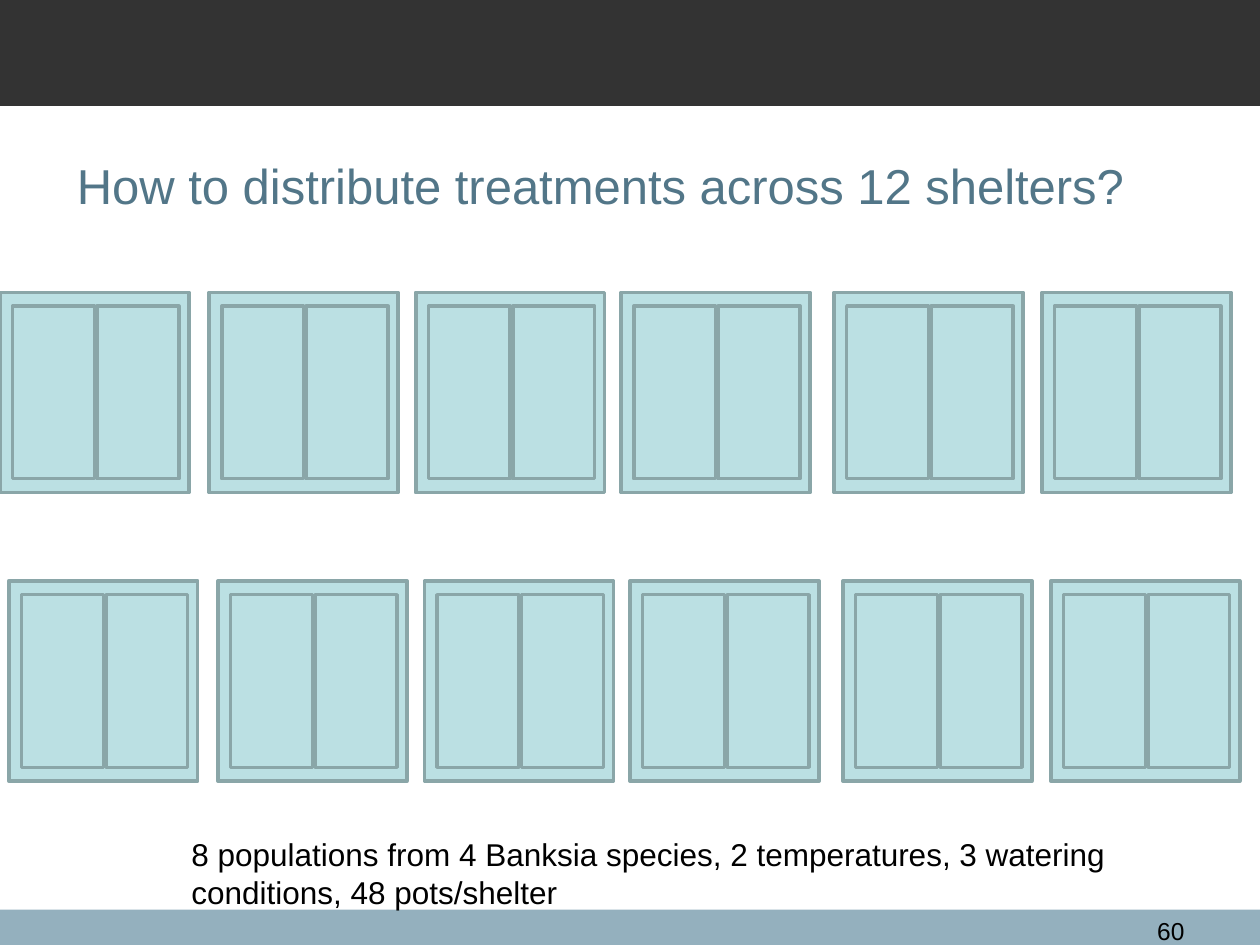
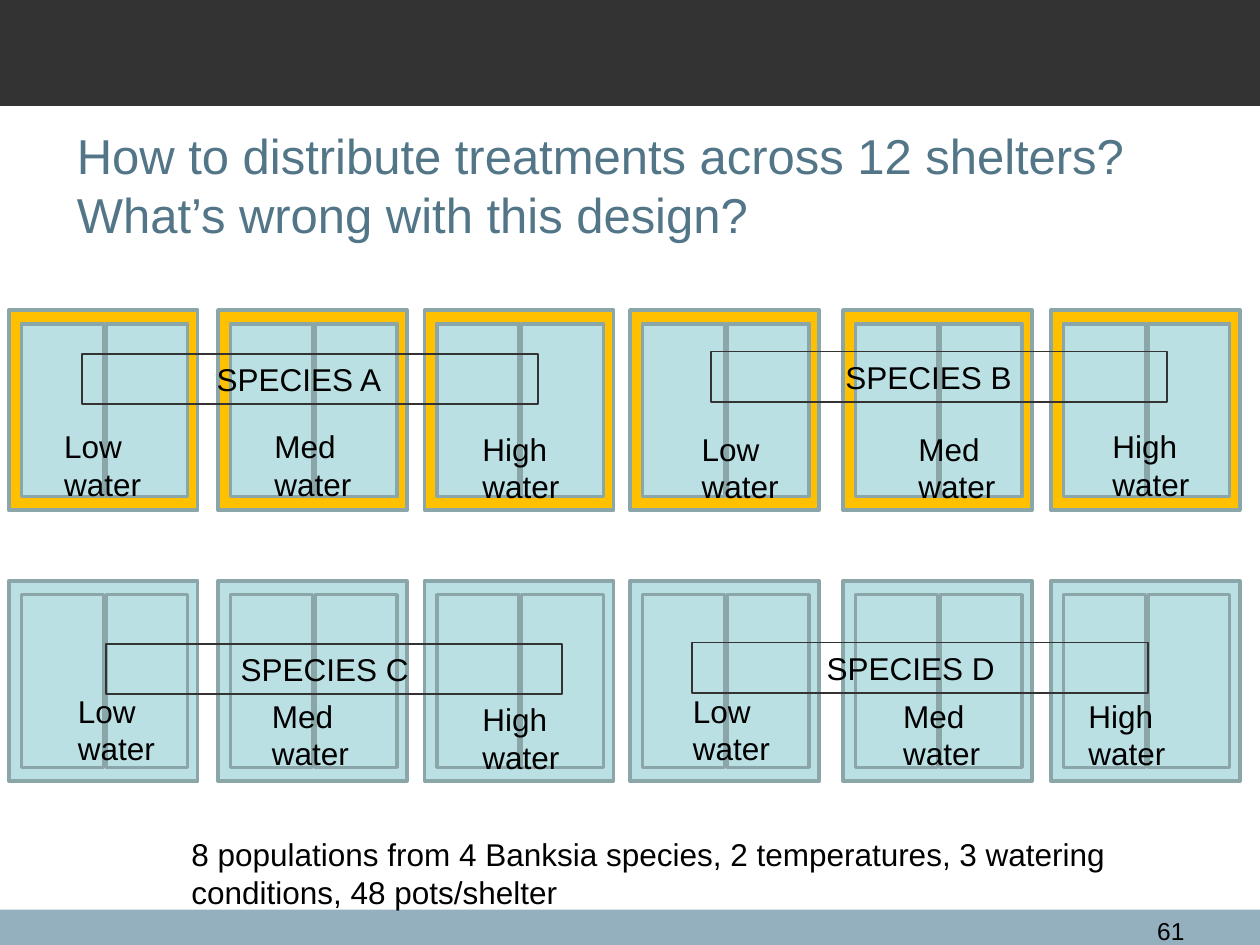
import dataclasses
import typing

import pptx
import pptx.dml.color
import pptx.enum.shapes
import pptx.enum.text
import pptx.util

# Shared grid: 100 columns by 75 rows on a 10 x 7.5 inch slide
WIDTH, HEIGHT = pptx.util.Inches(10), pptx.util.Inches(7.5)
COLS, ROWS = 100, 75

# Shared colours and font
FONT = "Arial"
BLACK, DARK, TITLE_BLUE, BAND_BLUE = "000000", "333333", "527688", "94B0BE"
GLASS, FRAME, WARM = "BBE0E3", "8AA6A8", "FFC000"

TITLE = "How to distribute treatments across 12 shelters?"
SUMMARY = ("8 populations from 4 Banksia species, 2 temperatures, "
           "3 watering conditions, 48 pots/shelter")
SHELTER_COLS = (0.7, 17.3, 33.7, 50, 66.9, 83.4)


@dataclasses.dataclass(frozen=True)
class Box:
    """A place on the grid, in columns and rows."""
    col: float
    row: float
    cols: float
    rows: float

    def emu(self) -> tuple[int, int, int, int]:
        return (round(self.col * WIDTH / COLS), round(self.row * HEIGHT / ROWS),
                round(self.cols * WIDTH / COLS), round(self.rows * HEIGHT / ROWS))


@dataclasses.dataclass(frozen=True)
class ShelterRow:
    row: float
    shift: float = 0
    fill: str = GLASS


@dataclasses.dataclass(frozen=True)
class Species:
    name: str
    col: float
    row: float


@dataclasses.dataclass(frozen=True)
class Water:
    level: str
    col: float
    row: float


def rgb(value: str) -> pptx.dml.color.RGBColor:
    return pptx.dml.color.RGBColor.from_string(value)


def write(tf: typing.Any, text: str, *, size: float = 18, color: str = BLACK,
          align: str = "LEFT", anchor: str = "TOP", indent: float = 1) -> None:
    """Fill a text frame; a newline becomes a line break."""
    tf.word_wrap = True
    tf.auto_size = pptx.enum.text.MSO_AUTO_SIZE.NONE
    tf.vertical_anchor = pptx.enum.text.MSO_ANCHOR[anchor]
    tf.margin_left = round(indent * WIDTH / COLS)
    p = tf.paragraphs[0]
    p.alignment = pptx.enum.text.PP_ALIGN[align]
    for i, line in enumerate(text.split("\n")):
        if i:
            p.add_line_break()
        r = p.add_run()
        r.text = line
        r.font.name, r.font.size = FONT, pptx.util.Pt(size)
        r.font.color.rgb = rgb(color)


def rect(shapes: typing.Any, box: Box, fill: str | None = None,
         line: str | None = None, width: float = 1) -> typing.Any:
    sp = shapes.add_shape(pptx.enum.shapes.MSO_SHAPE.RECTANGLE, *box.emu())
    sp.shadow.inherit = False
    if fill:
        sp.fill.solid()
        sp.fill.fore_color.rgb = rgb(fill)
    else:
        sp.fill.background()
    if line:
        sp.line.color.rgb = rgb(line)
        sp.line.width = pptx.util.Pt(width)
    else:
        sp.line.fill.background()
    return sp


def label(s: typing.Any, box: Box, text: str, **style: typing.Any) -> None:
    write(s.shapes.add_textbox(*box.emu()).text_frame, text, **style)


def shelter_row(s: typing.Any, shelters: ShelterRow) -> None:
    """Draw six shelters, each a frame around two panes, as one group."""
    shapes = s.shapes.add_group_shape().shapes
    for start in SHELTER_COLS:
        col = start + shelters.shift
        rect(shapes, Box(col, shelters.row, 15, 15.9), shelters.fill, FRAME, 2)
        for offset in (1, 7.7):
            rect(shapes, Box(col + offset, shelters.row + 1.1, 6.5, 13.7),
                 GLASS, FRAME, 2)


def base_slide(prs: typing.Any, title: str, number: int,
               rows: tuple[ShelterRow, ...]) -> typing.Any:
    """Add a slide with bands, title, page number, shelters and summary."""
    s = prs.slides.add_slide(prs.slide_layouts[5])
    rect(s.shapes, Box(0, 72.2, 100, 2.8), BAND_BLUE)
    rect(s.shapes, Box(0, 0, 100, 8.4), DARK)
    sp = s.shapes.title
    sp.left, sp.top, sp.width, sp.height = Box(5.1, 8.4, 90, 12.5).emu()
    write(sp.text_frame, title, size=28, color=TITLE_BLUE, anchor="MIDDLE")
    label(s, Box(88.6, 72.2, 6.4, 2.4), str(number), size=14, align="RIGHT")
    for shelters in rows:
        shelter_row(s, shelters)
    label(s, Box(14.2, 65.8, 80.2, 7.1), SUMMARY)
    return s


# Treatments on the second slide
SPECIES = (
    Species("A", 6.5, 28.1), Species("B", 56.4, 27.9),
    Species("C", 8.4, 51.1), Species("D", 54.9, 51),
)
WATERS = (
    Water("Low", 4.1, 33.4), Water("Med", 20.8, 33.4), Water("High", 37.3, 33.6),
    Water("Low", 54.7, 33.6), Water("Med", 71.9, 33.6), Water("High", 87.3, 33.4),
    Water("Low", 5.2, 54.4), Water("Med", 20.6, 54.8), Water("High", 37.3, 55.1),
    Water("Low", 54, 54.4), Water("Med", 70.7, 54.8), Water("High", 85.4, 54.8),
)


def main() -> None:
    prs = pptx.Presentation()
    prs.slide_width, prs.slide_height = WIDTH, HEIGHT
    lower_row = ShelterRow(46.1)

    # Slide 1: empty shelters
    base_slide(prs, TITLE, 60, (ShelterRow(23.2, shift=-0.7), lower_row))

    # Slide 2: one proposed design
    s = base_slide(prs, TITLE + "\nWhat’s wrong with this design?", 61,
                   (ShelterRow(24.6, fill=WARM), lower_row))
    for species in SPECIES:
        sp = rect(s.shapes, Box(species.col, species.row, 36.2, 4), line=DARK)
        write(sp.text_frame, f"SPECIES {species.name}", indent=10.7)
    for water in WATERS:
        label(s, Box(water.col, water.row, 8.5, 7.1), f"{water.level} water")

    prs.save("out.pptx")


if __name__ == "__main__":
    main()
